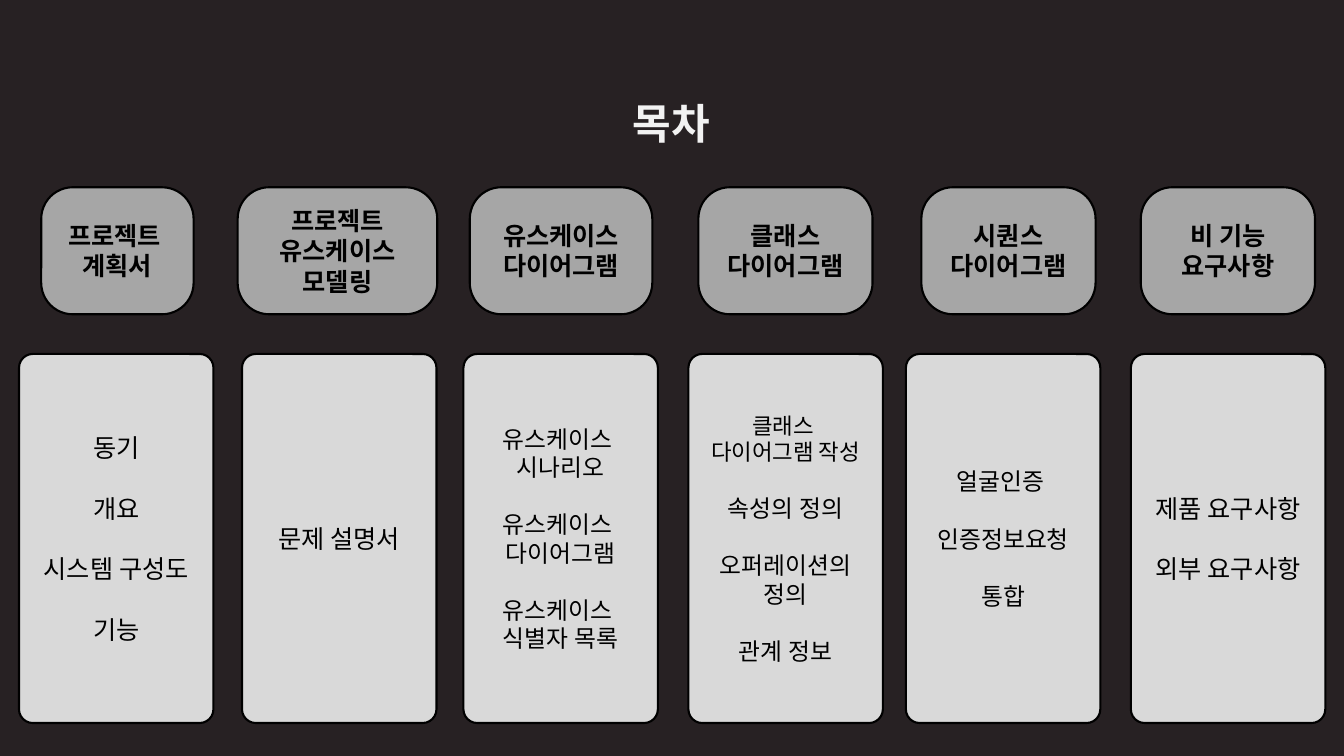
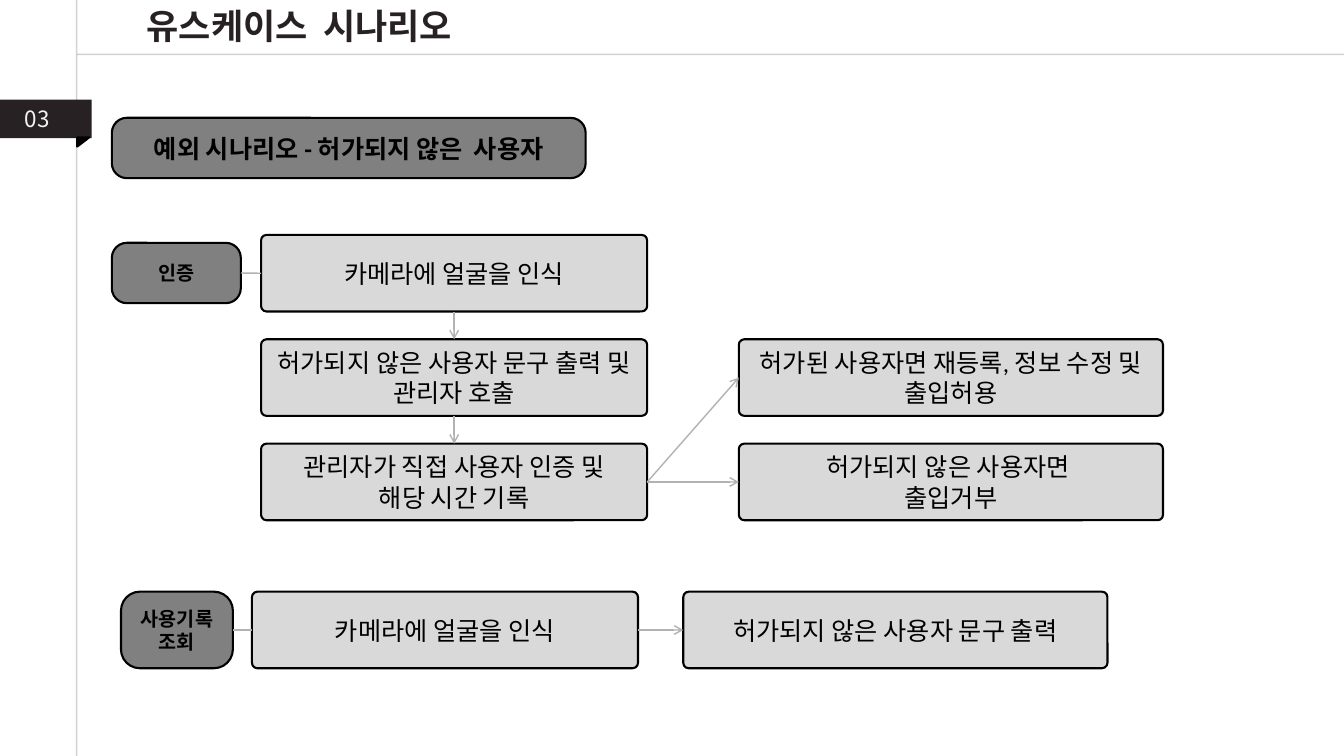
from dataclasses import dataclass

from lxml.etree import SubElement
from pptx import Presentation
from pptx.dml.color import RGBColor
from pptx.enum.shapes import MSO_CONNECTOR, MSO_SHAPE
from pptx.enum.text import MSO_ANCHOR, PP_ALIGN
from pptx.oxml.ns import qn
from pptx.shapes.autoshape import Shape
from pptx.shapes.connector import Connector
from pptx.slide import Slide
from pptx.util import Cm, Pt

# Shared look
HUES = {
    "dark": "272123",
    "black": "000000",
    "white": "FFFFFF",
    "pale": "F2F2F2",
    "card": "D9D9D9",
    "head": "A6A6A6",
    "badge": "808080",
    "arrow": "B2B2B2",
}
BODY = "Calibri"
TITLE = "Noto Sans CJK KR"
WIDE, HIGH = 33.87, 19.05
ROUND, SOFT = 0.248, 0.071
TOP, LEFT, BOTTOM, RIGHT = range(4)


@dataclass(frozen=True)
class Rect:
    x: float
    y: float
    w: float
    h: float


@dataclass(frozen=True)
class Para:
    text: str
    size: float = 18
    gap: float = 0


@dataclass(frozen=True)
class Style:
    fill: str
    curve: float
    bold: bool


@dataclass(frozen=True)
class Topic:
    head_x: float
    head_w: float
    card_x: float
    head: list[Para]
    card: list[Para]


@dataclass(frozen=True)
class Node:
    rect: Rect
    style: Style
    text: str
    size: float = 18


@dataclass(frozen=True)
class Link:
    start: str
    side: int
    end: str
    into: int
    arrow: bool = True


HEAD = Style("head", ROUND, True)
CARD = Style("card", SOFT, False)
BADGE = Style("badge", ROUND, True)


def hue(name: str) -> RGBColor:
    return RGBColor.from_string(HUES[name])


def paras(text: str, size: float = 18, gap: float = 0) -> list[Para]:
    """Split lines into paragraphs; the gap goes above the first."""
    return [Para(line, size, 0 if i else gap)
            for i, line in enumerate(text.split("\n"))]


def groups(size: float, *texts: str, first: float = 0) -> list[Para]:
    """Set groups of lines one line apart."""
    result = paras(texts[0], first or size)
    for text in texts[1:]:
        result += paras(text, size, size * 1.2)
    return result


def write(shape: Shape, items: list[Para], font: str, tint: str, bold: bool,
          align: PP_ALIGN = PP_ALIGN.CENTER, edge: str = "") -> None:
    frame = shape.text_frame
    frame.word_wrap = True
    frame.vertical_anchor = MSO_ANCHOR.MIDDLE
    for i, item in enumerate(items):
        para = frame.add_paragraph() if i else frame.paragraphs[0]
        para.alignment = align
        para.space_before = Pt(item.gap)
        run = para.add_run()
        run.text = item.text
        run.font.name = font
        run.font.size = Pt(item.size)
        run.font.bold = bold
        run.font.color.rgb = hue(tint)
        props = run.font._element
        props.find(qn("a:latin")).addnext(
            props.makeelement(qn("a:ea"), {"typeface": font}))
        if edge:
            line = props.makeelement(qn("a:ln"), {"w": str(Pt(0.75))})
            props.insert(0, line)
            fill = SubElement(line, qn("a:solidFill"))
            color = SubElement(fill, qn("a:srgbClr"), val=HUES[edge])
            SubElement(color, qn("a:alpha"), val="30000")


def label(slide: Slide, rect: Rect, text: str, size: float, tint: str,
          edge: str, bold: bool = True,
          align: PP_ALIGN = PP_ALIGN.CENTER) -> None:
    box = slide.shapes.add_textbox(Cm(rect.x), Cm(rect.y), Cm(rect.w), Cm(rect.h))
    write(box, paras(text, size), TITLE, tint, bold, align, edge)


def form(slide: Slide, kind: MSO_SHAPE, rect: Rect, fill: str,
         lined: bool = True) -> Shape:
    shape = slide.shapes.add_shape(
        kind, Cm(rect.x), Cm(rect.y), Cm(rect.w), Cm(rect.h))
    shape.shadow.inherit = False
    shape.fill.solid()
    shape.fill.fore_color.rgb = hue(fill)
    if lined:
        shape.line.color.rgb = hue("black")
        shape.line.width = Pt(1.5)
    else:
        shape.line.fill.background()
    return shape


def panel(slide: Slide, rect: Rect, style: Style, items: list[Para]) -> Shape:
    shape = form(slide, MSO_SHAPE.ROUNDED_RECTANGLE, rect, style.fill)
    shape.adjustments[0] = style.curve
    write(shape, items, BODY, "black", style.bold)
    return shape


def wire(slide: Slide, x: float, y: float, to_x: float, to_y: float,
         tint: str) -> Connector:
    line = slide.shapes.add_connector(
        MSO_CONNECTOR.STRAIGHT, Cm(x), Cm(y), Cm(to_x), Cm(to_y))
    line.line.color.rgb = hue(tint)
    line.line.width = Pt(1)
    SubElement(line._element.spPr, qn("a:effectLst"))
    return line


def rule(slide: Slide, x: float, y: float, to_x: float, to_y: float) -> None:
    """Draw a half-clear frame line."""
    line = wire(slide, x, y, to_x, to_y, "head")
    color = line.line._ln.find(".//" + qn("a:srgbClr"))
    SubElement(color, qn("a:alpha"), val="50000")


def join(slide: Slide, shapes: dict[str, Shape], link: Link) -> None:
    line = wire(slide, 0, 0, 0, 0, "arrow")
    line.begin_connect(shapes[link.start], link.side)
    line.end_connect(shapes[link.end], link.into)
    if link.arrow:
        SubElement(line.line._ln, qn("a:tailEnd"), type="arrow")


def page(deck: Presentation, back: str) -> Slide:
    slide = deck.slides.add_slide(deck.slide_layouts[6])
    slide.background.fill.solid()
    slide.background.fill.fore_color.rgb = hue(back)
    return slide


# Contents
TOPICS = [
    Topic(1.04, 3.84, 0.48, paras("프로젝트 \n계획서"),
          groups(18, "동기", "개요", "시스템 구성도", "기능")),
    Topic(5.99, 5.03, 6.1, paras("프로젝트\n유스케이스\n모델링"),
          groups(18, "문제 설명서")),
    Topic(11.84, 4.6, 11.68, paras("유스케이스\n다이어그램"),
          groups(17, "유스케이스 \n시나리오", "유스케이스 \n다이어그램",
                 "유스케이스 \n식별자 목록")),
    Topic(17.6, 4.39, 17.35, paras("클래스\n다이어그램"),
          groups(17, "클래스 \n다이어그램 작성", "속성의 정의",
                 "오퍼레이션의 정의", "관계 정보", first=16)),
    Topic(23.22, 4.39, 22.83, paras("시퀀스\n다이어그램"),
          groups(17, "얼굴인증 ", "인증정보요청", "통합")),
    Topic(28.75, 4.39, 28.5, paras("비 기능\n요구사항"),
          groups(18, "제품 요구사항", "외부 요구사항")),
]


def index(deck: Presentation) -> None:
    slide = page(deck, "dark")
    label(slide, Rect(10.03, 2.34, 13.79, 1.52), "목차", 30, "pale", "card")
    for topic in TOPICS:
        panel(slide, Rect(topic.head_x, 4.72, topic.head_w, 3.2), HEAD, topic.head)
        panel(slide, Rect(topic.card_x, 8.92, 4.9, 9.3), CARD, topic.card)


# Scenario flow
STEP_W, CASE_W, STEP_H = 9.73, 10.69, 1.93
ROWS = [5.92 + 2.63 * i for i in range(3)]
LOG_Y = 14.91


def step(x: float, y: float, text: str, wide: float = STEP_W) -> Node:
    return Node(Rect(x, y, wide, STEP_H), CARD, text)


NODES = {
    "banner": Node(Rect(2.82, 2.97, 11.94, 1.52), BADGE,
                   "예외 시나리오 - 허가되지 않은  사용자"),
    "auth": Node(Rect(2.82, 6.12, 3.25, 1.52), BADGE, "인증", 14),
    "scan": step(6.58, ROWS[0], "카메라에 얼굴을 인식"),
    "call": step(6.58, ROWS[1], "허가되지 않은 사용자 문구 출력 및 관리자 호출"),
    "check": step(6.58, ROWS[2], "관리자가 직접 사용자 인증 및\n해당 시간 기록"),
    "allow": step(18.62, ROWS[1],
                  "허가된 사용자면 재등록, 정보 수정 및 출입허용", CASE_W),
    "deny": step(18.62, ROWS[2], "허가되지 않은 사용자면 \n출입거부", CASE_W),
    "log": Node(Rect(3.05, LOG_Y, 2.82, STEP_H), BADGE, "사용기록 조회", 14),
    "look": step(6.35, LOG_Y, "카메라에 얼굴을 인식"),
    "show": step(17.22, LOG_Y, "허가되지 않은 사용자 문구 출력", CASE_W),
}
LINKS = [
    Link("auth", RIGHT, "scan", LEFT, False),
    Link("scan", BOTTOM, "call", TOP),
    Link("call", BOTTOM, "check", TOP),
    Link("check", RIGHT, "allow", LEFT),
    Link("check", RIGHT, "deny", LEFT),
    Link("log", RIGHT, "look", LEFT, False),
    Link("look", RIGHT, "show", LEFT),
]


def flow(deck: Presentation) -> None:
    slide = page(deck, "white")
    # Frame, page tab and title
    rule(slide, 1.93, 0, 1.93, HIGH)
    rule(slide, WIDE, 1.37, 1.93, 1.37)
    form(slide, MSO_SHAPE.RECTANGLE, Rect(0, 2.51, 2.31, 0.97), "dark", False)
    fold = form(slide, MSO_SHAPE.RIGHT_TRIANGLE, Rect(1.98, 3.43, 0.23, 0.3), "black")
    fold.rotation = 90
    label(slide, Rect(0.38, 2.51, 1.5, 0.94), "03", 16, "pale", "card",
          False, PP_ALIGN.LEFT)
    label(slide, Rect(1.88, 0, 11.33, 1.3), "유스케이스  시나리오", 25,
          "dark", "black")
    # Steps and arrows
    shapes = {key: panel(slide, node.rect, node.style, paras(node.text, node.size))
              for key, node in NODES.items()}
    for link in LINKS:
        join(slide, shapes, link)


def main() -> None:
    deck = Presentation()
    deck.slide_width, deck.slide_height = Cm(WIDE), Cm(HIGH)
    index(deck)
    flow(deck)
    deck.save("out.pptx")


if __name__ == "__main__":
    main()
